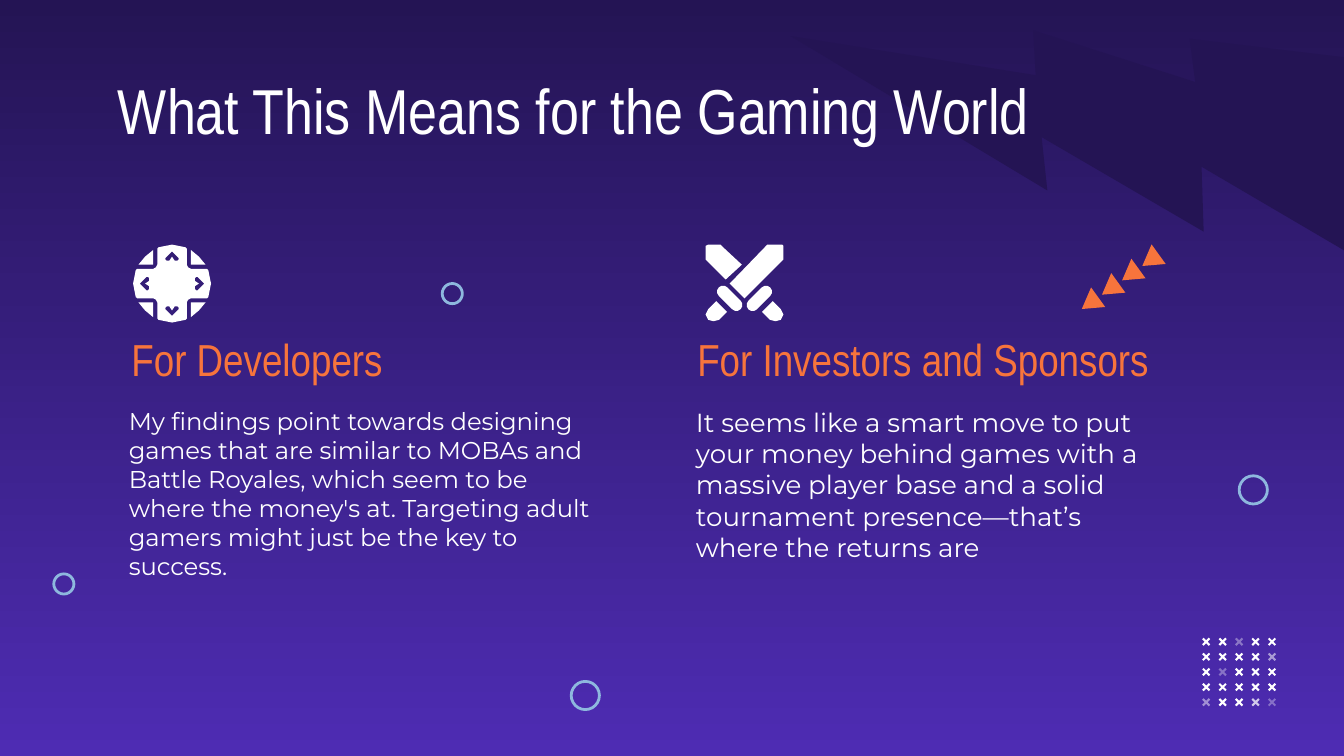
import lxml.etree
import pptx
import pptx.dml.color
import pptx.enum.shapes
import pptx.enum.text
import pptx.oxml.ns
import pptx.util

Inches = pptx.util.Inches
SHAPES = pptx.enum.shapes.MSO_SHAPE

THEME = {
    "night": "241454", "violet": "4E2CB3", "white": "FFFFFF",
    "orange": "F7743C", "sky": "8EB8DE",
    "heading_font": "Arial Narrow", "body_font": "Montserrat",
    "title_size": 34, "heading_size": 24, "ring_line": 1.5,
}

PAGE_WIDTH = 10
PAGE_HEIGHT = PAGE_WIDTH * 9 / 16

TITLE = "What This Means for the Gaming World"
COLUMNS = [
    {"heading": "For Developers", "heading_at": (0.88, 2.37, 3.41, 0.56),
     "body": "My findings point towards designing games that are similar to MOBAs and "
             "Battle Royales, which seem to be where the money's at. Targeting adult "
             "gamers might just be the key to success.",
     "body_at": (0.36, 2.92, 4.22, 1.72), "body_size": 13},
    {"heading": "For Investors and Sponsors", "heading_at": (5.09, 2.37, 4.34, 0.56),
     "body": "It seems like a smart move to put your money behind games with a massive "
             "player base and a solid tournament presence—that’s where the returns are",
     "body_at": (4.58, 2.92, 4.22, 1.72), "body_size": 14},
]
BODY_INDENT = 0.5

# left, top, diameter
RINGS = [(0.4, 4.27, 0.15), (3.29, 2.11, 0.15), (9.22, 3.54, 0.21), (4.25, 5.07, 0.21)]

# opacity in percent of the faded crosses, by (row, column)
CROSS_OPACITY = {(0, 2): 36, (1, 4): 53, (2, 1): 34, (4, 0): 48, (4, 3): 75, (4, 4): 33}

# Icon outlines in inches from the icon centre
PAD_CENTRE = (1.28, 2.11)
PAD_ARM = [(-0.12, -0.12), (-0.11, -0.14), (-0.11, -0.26), (-0.1, -0.27), (-0.05, -0.28),
           (0, -0.29), (0.05, -0.28), (0.1, -0.27), (0.11, -0.26), (0.11, -0.14)]
PAD_CHEVRON = [(0, -0.24), (0.05, -0.19), (0.05, -0.18), (0.04, -0.17), (0.02, -0.17),
               (0, -0.2), (-0.02, -0.17), (-0.04, -0.17), (-0.05, -0.18), (-0.05, -0.19)]
PAD_CORNER = [(-0.14, -0.25), (-0.2, -0.2), (-0.25, -0.14), (-0.14, -0.14)]

SWORDS_CENTRE = (5.54, 2.11)
FRONT_BLADE = [(0.17, -0.29), (0.28, -0.29), (0.29, -0.28), (0.29, -0.18),
               (0.28, -0.17), (0, 0.11), (-0.11, 0)]
BACK_BLADE = [(-0.27, -0.29), (-0.18, -0.29), (-0.17, -0.28), (-0.02, -0.14),
              (-0.14, -0.03), (-0.28, -0.17), (-0.29, -0.18), (-0.29, -0.28)]
POMMEL = [(0.21, 0.13), (0.27, 0.19), (0.29, 0.23), (0.27, 0.27),
          (0.23, 0.28), (0.19, 0.27), (0.13, 0.21)]
GUARD = {"offset": (0.11, 0.11), "size": (0.23, 0.09)}

deck = pptx.Presentation()
deck.slide_width, deck.slide_height = Inches(PAGE_WIDTH), Inches(PAGE_HEIGHT)
page = deck.slides.add_slide(deck.slide_layouts[6])


def color(name):
    return pptx.dml.color.RGBColor.from_string(THEME[name])


def paint(shape, fill=None, line=None, opacity=100):
    shape.shadow.inherit = False
    if fill:
        shape.fill.solid()
        shape.fill.fore_color.rgb = color(fill)
    else:
        shape.fill.background()
    if line:
        shape.line.color.rgb = color(line)
        shape.line.width = pptx.util.Pt(THEME["ring_line"])
    else:
        shape.line.fill.background()
    if opacity < 100:
        tone = shape.fill._xPr.find(".//" + pptx.oxml.ns.qn("a:srgbClr"))
        alpha = lxml.etree.SubElement(tone, pptx.oxml.ns.qn("a:alpha"))
        alpha.set("val", str(opacity * 1000))


def add_preset(kind, at, rotation=0, adjustment=None, **style):
    shape = page.shapes.add_shape(kind, *map(Inches, at))
    shape.rotation = rotation
    if adjustment is not None:
        shape.adjustments[0] = adjustment
    paint(shape, **style)
    return shape


def add_outline(centre, *contours):
    """Draw one white shape; contours after the first are holes."""
    placed = [[(Inches(centre[0] + x), Inches(centre[1] + y)) for x, y in contour]
              for contour in contours]
    builder = page.shapes.build_freeform(*placed[0][0])
    builder.add_line_segments(placed[0][1:], close=True)
    for hole in placed[1:]:
        builder.move_to(*hole[0])
        builder.add_line_segments(hole[1:], close=True)
    paint(builder.convert_to_shape(), fill="white")


def quarter_turns(points):
    """Return the points in all four quarter turns about the centre."""
    turns = [points]
    for _ in range(3):
        turns.append([(-y, x) for x, y in turns[-1]])
    return turns


def add_text(text, at, size, font, tone, indent=0):
    box = page.shapes.add_textbox(*map(Inches, at))
    frame_format = {"word_wrap": True, "vertical_anchor": pptx.enum.text.MSO_ANCHOR.TOP}
    for side in ("left", "top", "right", "bottom"):
        frame_format["margin_" + side] = Inches(0.1)
    for name, value in frame_format.items():
        setattr(box.text_frame, name, value)
    para = box.text_frame.paragraphs[0]
    if indent:
        para._p.get_or_add_pPr().set("marL", str(Inches(indent)))
    span = para.add_run()
    span.text = text
    for name, value in {"size": pptx.util.Pt(size), "name": THEME[font]}.items():
        setattr(span.font, name, value)
    span.font.color.rgb = color(tone)


def add_background():
    fill = page.background.fill
    fill.gradient()
    fill.gradient_angle = 270
    for stop, name, position in zip(fill.gradient_stops, ("night", "violet"), (0, 1)):
        stop.color.rgb = color(name)
        stop.position = position
    bolt = add_preset(SHAPES.LIGHTNING_BOLT, (6.53, -0.83, 3.6, 3.6), 61, fill="night")
    bolt._element.spPr.xfrm.set("flipH", "1")


def add_decorations():
    for left, top, diameter in RINGS:
        add_preset(SHAPES.OVAL, (left, top, diameter, diameter), line="sky")
    for step in range(4):
        add_preset(SHAPES.ISOSCELES_TRIANGLE,
                   (8.47 - 0.15 * step, 1.86 + 0.32 / 3 * step, 0.18, 0.15),
                   234.2, fill="orange")
    for row in range(5):
        for column in range(5):
            add_preset(SHAPES.CROSS,
                       (8.94 + 0.49 / 4 * column, 4.74 + 0.45 / 4 * row, 0.07, 0.07),
                       315, 0.39, fill="white", opacity=CROSS_OPACITY.get((row, column), 100))


def add_pad_icon():
    for corner in quarter_turns(PAD_CORNER):
        add_outline(PAD_CENTRE, corner)
    pad = [point for arm in quarter_turns(PAD_ARM) for point in arm]
    add_outline(PAD_CENTRE, pad, *quarter_turns(PAD_CHEVRON))


def add_swords_icon():
    for blade in (BACK_BLADE, FRONT_BLADE):
        add_outline(SWORDS_CENTRE, blade)
    width, height = GUARD["size"]
    for side in (-1, 1):
        add_outline(SWORDS_CENTRE, [(side * x, y) for x, y in POMMEL])
        left = SWORDS_CENTRE[0] + side * GUARD["offset"][0] - width / 2
        top = SWORDS_CENTRE[1] + GUARD["offset"][1] - height / 2
        add_preset(SHAPES.ROUNDED_RECTANGLE, (left, top, width, height),
                   -45 * side, 0.5, fill="white")


add_background()
add_text(TITLE, (0.78, 0.43, 8.43, 0.64), THEME["title_size"], "heading_font", "white")
for column in COLUMNS:
    add_text(column["body"], column["body_at"], column["body_size"],
             "body_font", "white", BODY_INDENT)
    add_text(column["heading"], column["heading_at"], THEME["heading_size"],
             "heading_font", "orange")
add_decorations()
add_pad_icon()
add_swords_icon()
deck.save("out.pptx")
